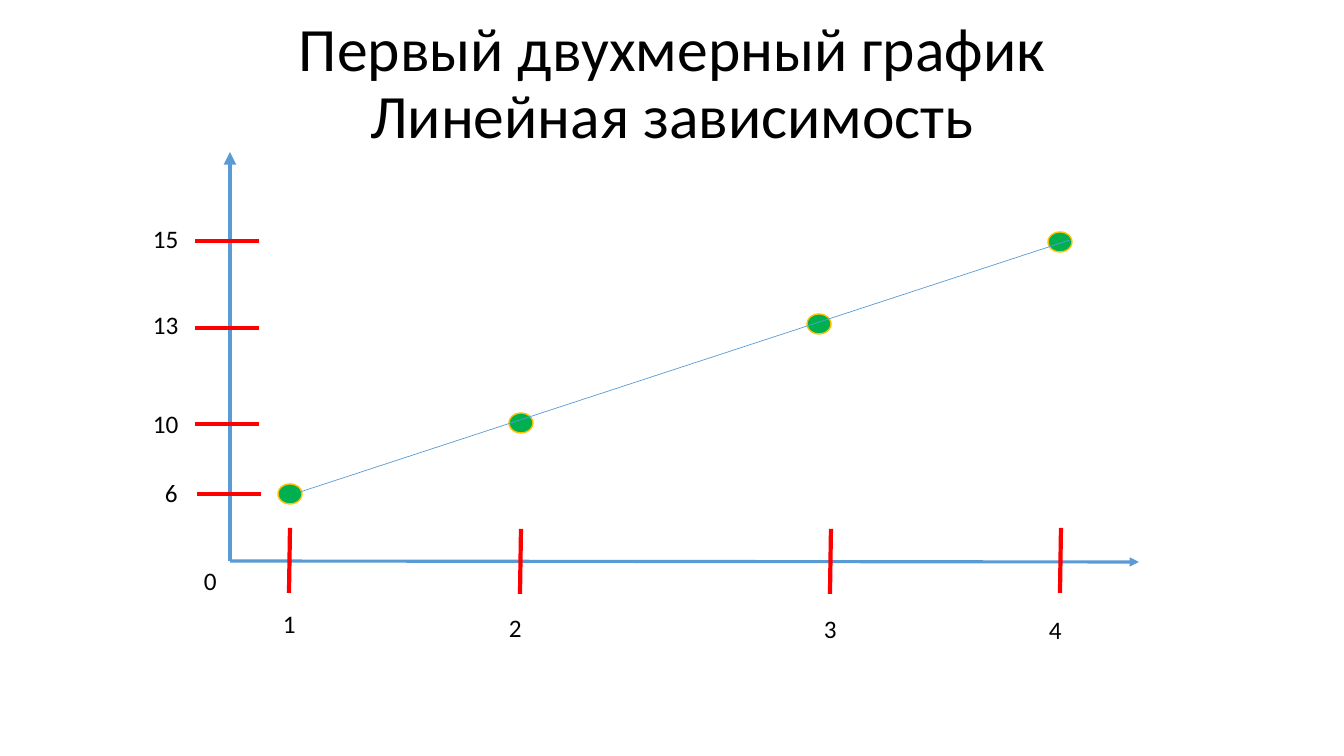
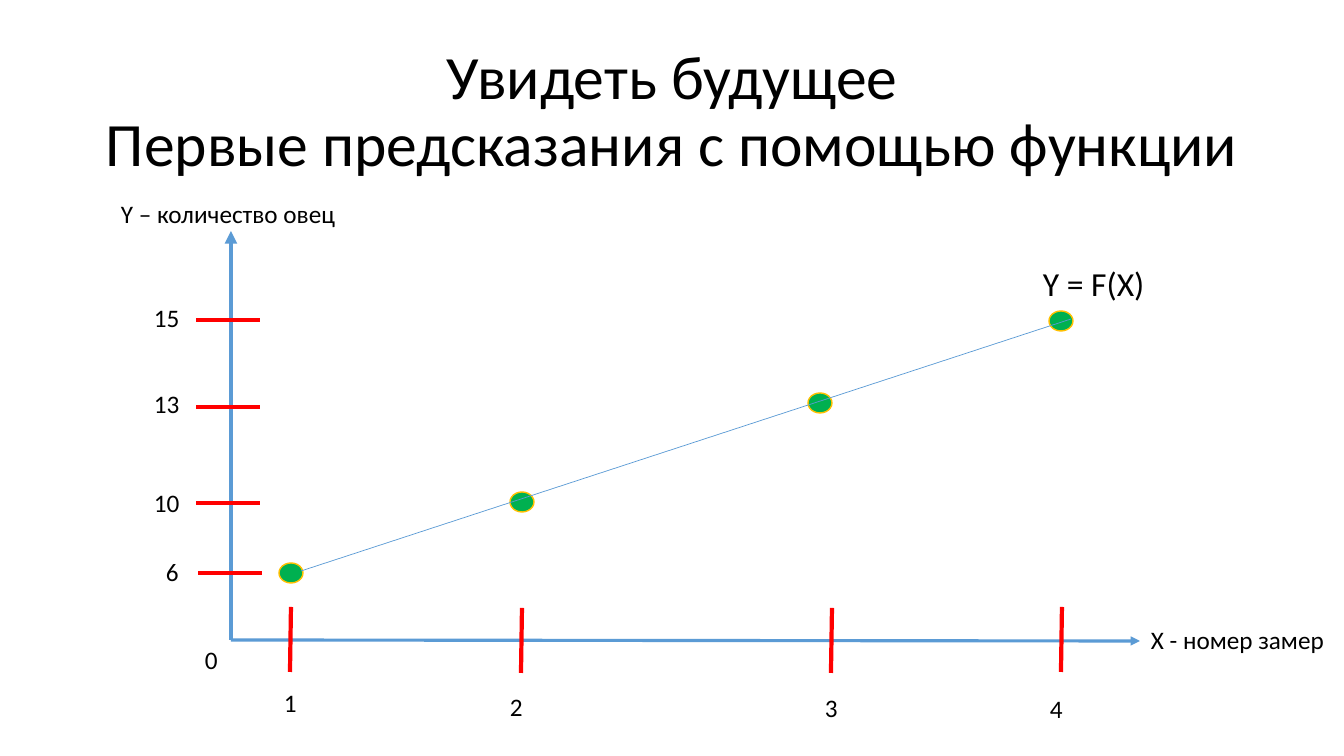
from dataclasses import dataclass

from pptx import Presentation
from pptx.dml.color import RGBColor
from pptx.enum import shapes, text
from pptx.oxml.xmlchemy import OxmlElement
from pptx.util import Emu, Pt

SCALE = 12192000 / 1344
FONT = "Calibri"
BLACK, BLUE, RED, GREEN, GOLD = "000000", "5B9BD5", "FF0000", "00B050", "FFC000"


@dataclass(frozen=True)
class Label:
    words: str
    x: int
    y: int
    w: int = 80
    h: int = 40
    size: int = 18


@dataclass(frozen=True)
class Mark:
    x: int
    y: int


@dataclass(frozen=True)
class Page:
    title: str
    top: int
    high: int
    zero: Mark
    notes: tuple[Label, ...] = ()


X_TICKS = (Mark(60, -33), Mark(291, -32), Mark(601, -32), Mark(831, -33))
Y_TICKS = (Mark(31, -67), Mark(29, -137), Mark(29, -233), Mark(29, -320))
DOTS = (Mark(48, -77), Mark(279, -148), Mark(577, -247), Mark(818, -329))
LABELS = (
    Label("6", -75, -89),
    Label("10", -87, -158, 93),
    Label("13", -87, -257),
    Label("15", -87, -343),
    Label("1", 43, 42),
    Label("2", 269, 46),
    Label("3", 584, 47),
    Label("4", 809, 48),
    Label("0", -36, -1),
)
PAGES = (
    Page("Первый двухмерный график\vЛинейная зависимость", 13, 144, Mark(230, 561)),
    Page(
        "Увидеть будущее\vПервые предсказания с помощью функции",
        40,
        146,
        Mark(231, 640),
        (
            Label("X - номер замер", 1141, 619, 246),
            Label("Y – количество овец", 111, 193, 303),
            Label("Y = F(X)", 1033, 258, 354, 50, 24),
        ),
    ),
)


def px(size: int) -> Emu:
    return Emu(round(size * SCALE))


def tint(code: str) -> RGBColor:
    return RGBColor.from_string(code)


def write(frame, words: str, *, size: int, align=text.PP_ALIGN.LEFT,
          anchor=text.MSO_ANCHOR.TOP, space: float = 1.0,
          fit=text.MSO_AUTO_SIZE.SHAPE_TO_FIT_TEXT) -> None:
    frame.word_wrap = True
    frame.auto_size = fit
    frame.vertical_anchor = anchor
    para = frame.paragraphs[0]
    para.text = words
    para.alignment = align
    para.line_spacing = space
    for run in para.runs:
        run.font.name = FONT
        run.font.size = Pt(size)
        run.font.color.rgb = tint(BLACK)


def head(slide, page: Page) -> None:
    title = slide.shapes.title
    title.left, title.top = px(93), px(page.top)
    title.width, title.height = px(1159), px(page.high)
    write(title.text_frame, page.title, size=44, align=text.PP_ALIGN.CENTER,
          anchor=text.MSO_ANCHOR.MIDDLE, space=0.9, fit=text.MSO_AUTO_SIZE.NONE)


def label(slide, item: Label, zero: Mark = Mark(0, 0)) -> None:
    box = slide.shapes.add_textbox(
        px(zero.x + item.x), px(zero.y + item.y), px(item.w), px(item.h))
    write(box.text_frame, item.words, size=item.size)


def line(slide, zero: Mark, start: Mark, end: Mark, color: str, width: float,
         arrow: bool = False) -> None:
    link = slide.shapes.add_connector(
        shapes.MSO_CONNECTOR.STRAIGHT, px(zero.x + start.x), px(zero.y + start.y),
        px(zero.x + end.x), px(zero.y + end.y))
    link.line.color.rgb = tint(color)
    link.line.width = Pt(width)
    if arrow:
        tip = OxmlElement("a:tailEnd")
        tip.set("type", "triangle")
        link.line._get_or_add_ln().append(tip)
    link._element.spPr.append(OxmlElement("a:effectLst"))


def dot(slide, zero: Mark, mark: Mark) -> None:
    oval = slide.shapes.add_shape(
        shapes.MSO_SHAPE.OVAL, px(zero.x + mark.x), px(zero.y + mark.y), px(24), px(20))
    oval.shadow.inherit = False
    oval.fill.solid()
    oval.fill.fore_color.rgb = tint(GREEN)
    oval.line.color.rgb = tint(GOLD)
    oval.line.width = Pt(1)


def graph(slide, zero: Mark) -> None:
    base = Mark(0, 0)
    line(slide, zero, base, Mark(909, 1), BLUE, 2.25, arrow=True)
    for tick in X_TICKS:
        line(slide, zero, tick, Mark(tick.x - 1, tick.y + 65), RED, 3)
    for item in LABELS:
        label(slide, item, zero)
    line(slide, zero, base, Mark(0, -409), BLUE, 3, arrow=True)
    for tick in Y_TICKS:
        line(slide, zero, tick, Mark(tick.x - 64, tick.y), RED, 3)
    for mark in DOTS:
        dot(slide, zero, mark)
    line(slide, zero, Mark(70, -69), Mark(840, -321), BLUE, 0.5)


def main() -> None:
    deck = Presentation()
    deck.slide_width, deck.slide_height = px(1344), px(756)
    for page in PAGES:
        slide = deck.slides.add_slide(deck.slide_layouts[5])
        head(slide, page)
        graph(slide, page.zero)
        for note in page.notes:
            label(slide, note)
    deck.save("out.pptx")


main()
